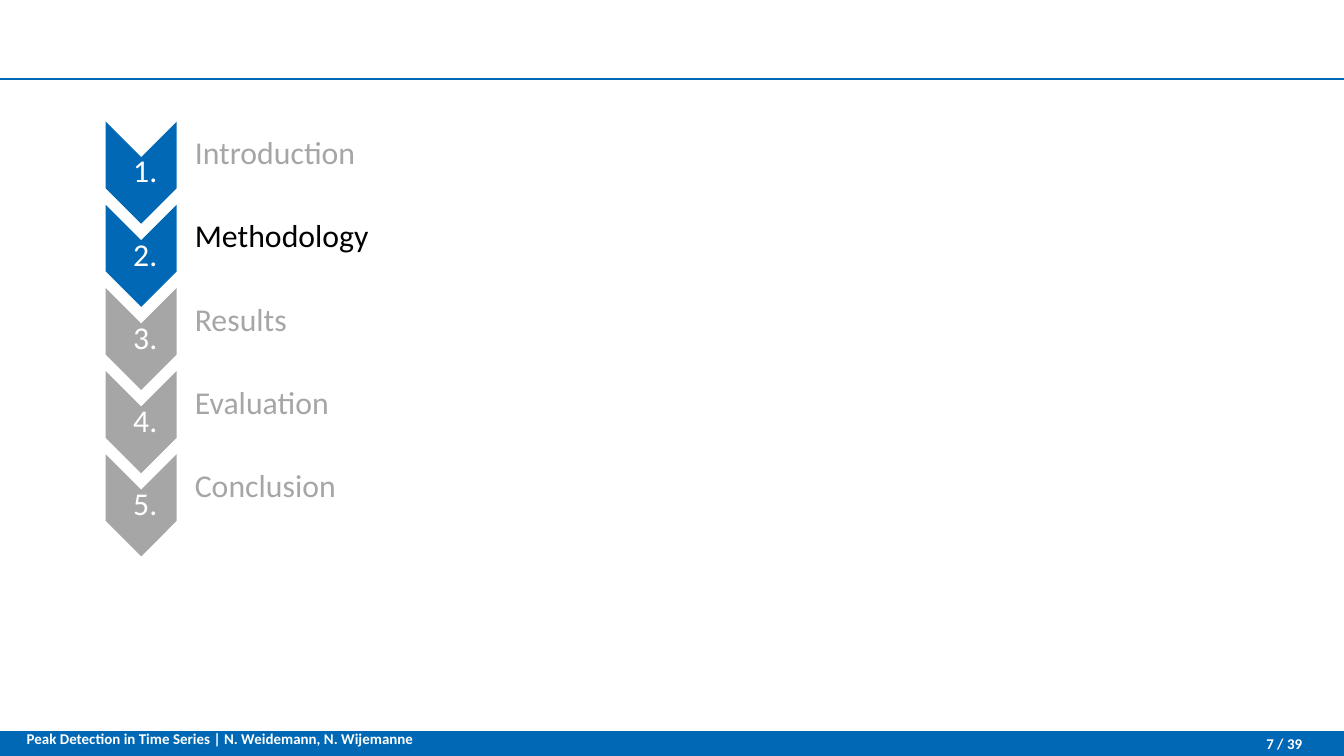
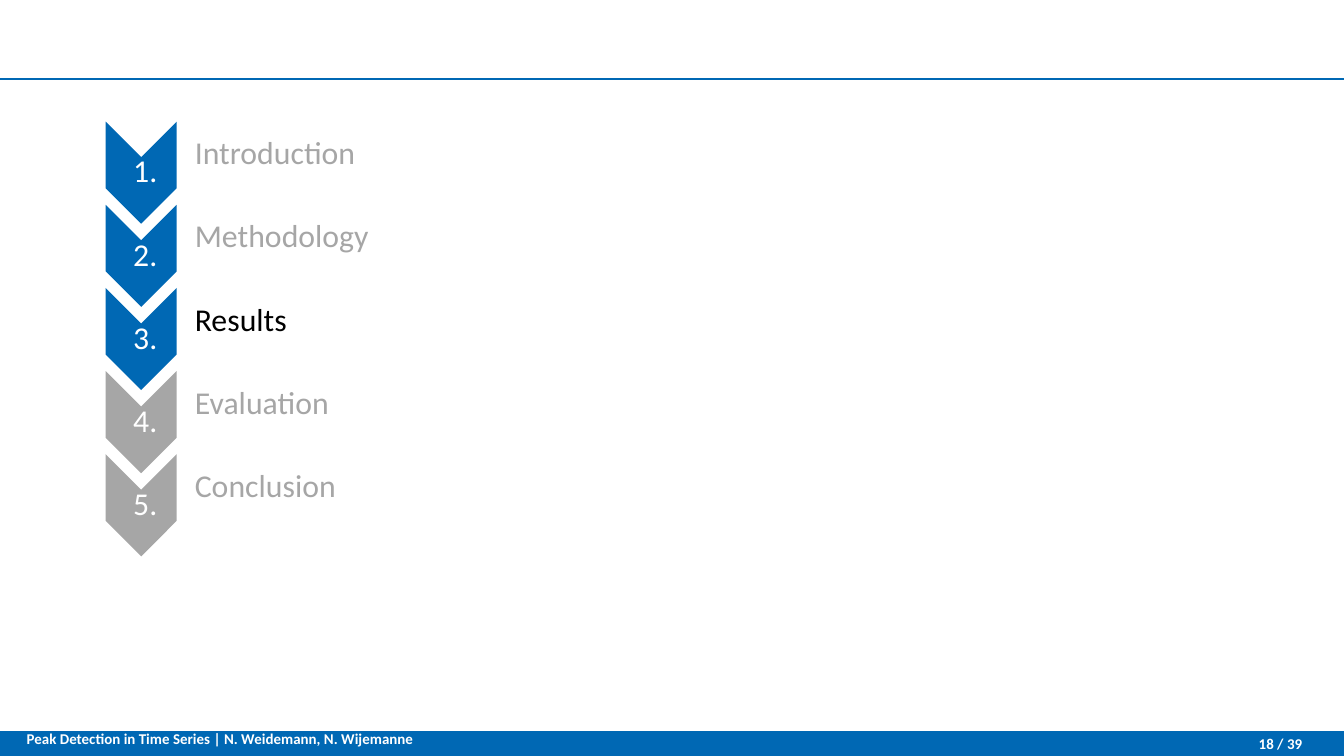
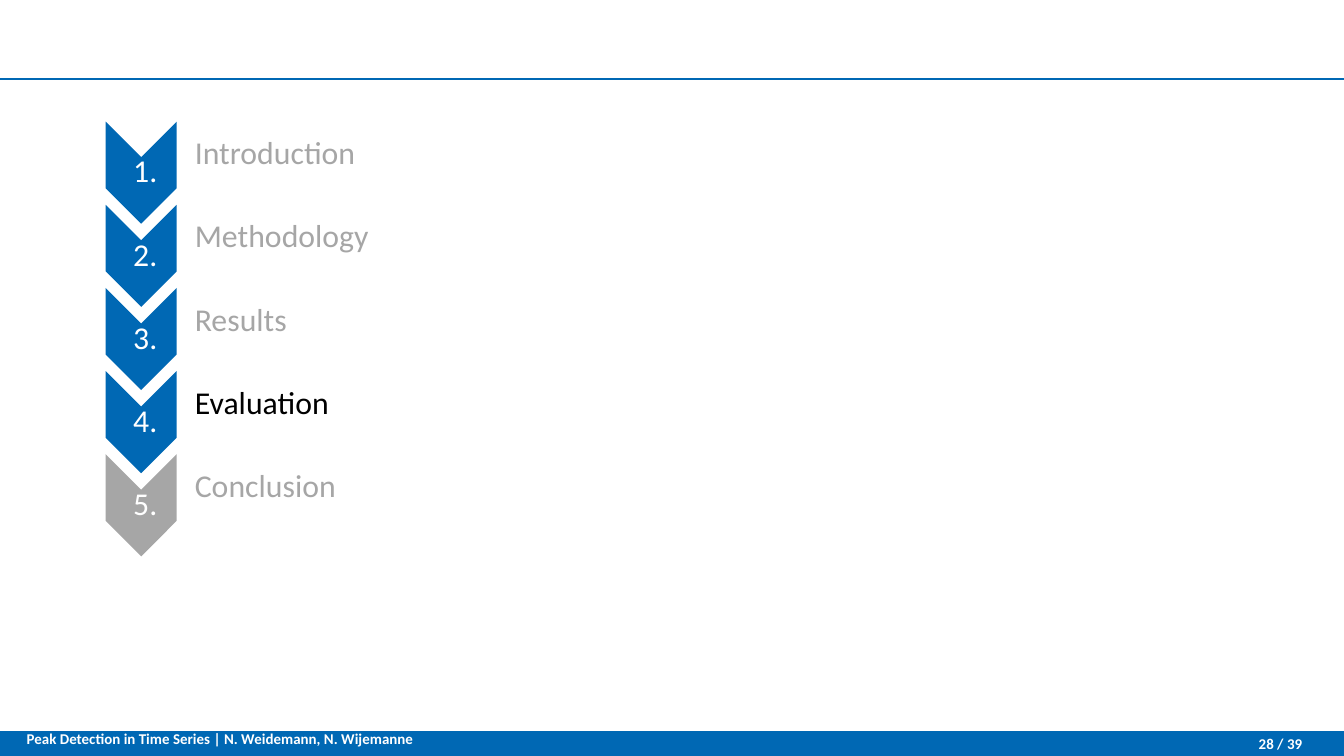
"""Build the agenda slides of a talk on peak detection."""
from dataclasses import dataclass
from typing import NamedTuple

from lxml.etree import SubElement
from pptx import Presentation
from pptx.dml.color import RGBColor as Rgb
from pptx.enum.shapes import MSO_CONNECTOR as Link, MSO_SHAPE as Form
from pptx.enum.text import MSO_ANCHOR as Anchor, PP_ALIGN as Align
from pptx.oxml.ns import qn
from pptx.util import Inches, Pt


@dataclass(frozen=True)
class Theme:
    font: str = "Calibri"
    blue: Rgb = Rgb(0x00, 0x68, 0xB4)
    gray: Rgb = Rgb(0xA6, 0xA6, 0xA6)
    black: Rgb = Rgb(0, 0, 0)
    white: Rgb = Rgb(0xFF, 0xFF, 0xFF)
    list_size: float = 17
    foot_size: float = 8
    rule: float = 1.5


class Box(NamedTuple):
    """Place and size in percent of the slide."""
    left: float
    top: float
    width: float
    height: float

    def down(self, step: float) -> "Box":
        return self._replace(top=self.top + step)

    def frame(self) -> tuple[int, int, int, int]:
        return (across(self.left), along(self.top),
                across(self.width), along(self.height))


class Style(NamedTuple):
    size: float
    color: Rgb
    bold: bool = False
    align: Align = Align.LEFT
    anchor: Anchor = Anchor.MIDDLE
    inset: tuple[float, float, float, float] = (0.01, 0.01, 0.01, 0.01)
    pitch: float = 1.0


class Stop(NamedTuple):
    """Active agenda item and page number of one slide."""
    item: int
    page: int


THEME = Theme()
WIDTH, HEIGHT = Inches(10), Inches(5.625)
ROW = 11
RULE = 10.45
BAND = Box(0, 96.7, 100, 3.3)
ARROW = Box(6.7, 18.15, 7.6, 9.4)
NUMBER = Box(7.9, 20.8, 5.3, 4.1)
LABEL = Box(13.2, 16.55, 78.7, 7.8)
CREDIT = Box(1, 95.3, 43.4, 6)
PAGE = Box(87.5, 96.7, 9.4, 3.3)

TALK = "Peak Detection in Time Series | N. Weidemann, N. Wijemanne"
TOTAL = 39
TOPICS = ("Introduction", "Methodology", "Results", "Evaluation", "Conclusion")
STOPS = (Stop(2, 7), Stop(3, 18), Stop(4, 28))

COUNT = Style(THEME.list_size, THEME.white, align=Align.CENTER, pitch=0.9)
TOPIC = Style(THEME.list_size, THEME.gray, inset=(0.13, 0.01, 0.01, 0.01), pitch=0.9)
FOOT = Style(THEME.foot_size, THEME.white, bold=True, anchor=Anchor.TOP,
             inset=(0.1, 0.1, 0.1, 0.1))
FOLIO = FOOT._replace(align=Align.RIGHT, anchor=Anchor.MIDDLE,
                      inset=(0.1, 0.05, 0, 0.05))


def across(share: float) -> int:
    """Turn a percentage of the width into a length."""
    return round(WIDTH * share / 100)


def along(share: float) -> int:
    """Turn a percentage of the height into a length."""
    return round(HEIGHT * share / 100)


def add_text(shapes, box: Box, text: str, style: Style) -> None:
    """Write one styled line of text."""
    frame = shapes.add_textbox(*box.frame()).text_frame
    frame.word_wrap = True
    frame.vertical_anchor = style.anchor
    (frame.margin_left, frame.margin_top,
     frame.margin_right, frame.margin_bottom) = map(Inches, style.inset)
    para = frame.paragraphs[0]
    para.alignment = style.align
    para.line_spacing = style.pitch
    run = para.add_run()
    run.text = text
    run.font.name = THEME.font
    run.font.size = Pt(style.size)
    run.font.bold = style.bold
    run.font.color.rgb = style.color


def add_form(shapes, form: Form, box: Box, color: Rgb, turn: float = 0) -> None:
    """Draw a plain filled shape."""
    shape = shapes.add_shape(form, *box.frame())
    shape.shadow.inherit = False
    shape.fill.solid()
    shape.fill.fore_color.rgb = color
    shape.line.fill.background()
    shape.rotation = turn


def add_rule(shapes) -> None:
    """Draw the line below the title area."""
    rule = shapes.add_connector(Link.STRAIGHT, WIDTH, along(RULE), 0, along(RULE))
    rule.line.color.rgb = THEME.blue
    rule.line.width = Pt(THEME.rule)
    SubElement(rule._element.spPr, qn("a:effectLst"))


def add_topics(shapes, active: int) -> None:
    """Draw the agenda, with the active item in black."""
    group = shapes.add_group_shape().shapes
    for count, topic in enumerate(TOPICS, 1):
        step = (count - 1) * ROW
        fill = THEME.blue if count <= active else THEME.gray
        ink = THEME.black if count == active else THEME.gray
        add_form(group, Form.CHEVRON, ARROW.down(step), fill, turn=90)
        add_text(group, NUMBER.down(step), f" {count}.", COUNT)
        add_text(group, LABEL.down(step), topic, TOPIC._replace(color=ink))


def add_slide(deck, stop: Stop) -> None:
    """Add one agenda slide."""
    shapes = deck.slides.add_slide(deck.slide_layouts[6]).shapes
    add_form(shapes, Form.RECTANGLE, BAND, THEME.blue)
    add_topics(shapes, stop.item)
    add_rule(shapes)
    add_text(shapes, CREDIT, TALK, FOOT)
    add_text(shapes, PAGE, f"{stop.page} / {TOTAL}", FOLIO)


def main() -> None:
    """Build and save the deck."""
    deck = Presentation()
    deck.slide_width, deck.slide_height = WIDTH, HEIGHT
    for stop in STOPS:
        add_slide(deck, stop)
    deck.save("out.pptx")


if __name__ == "__main__":
    main()
